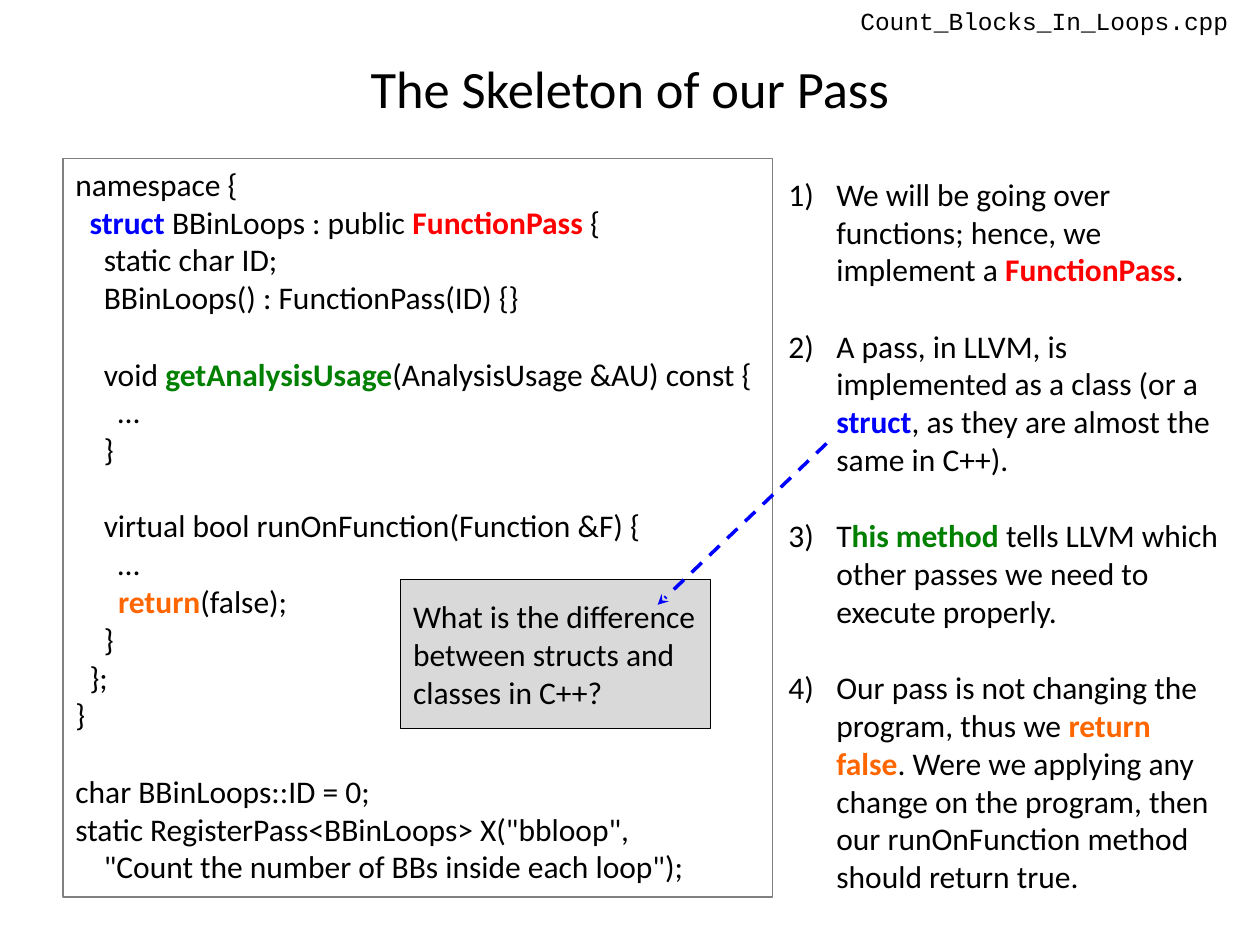
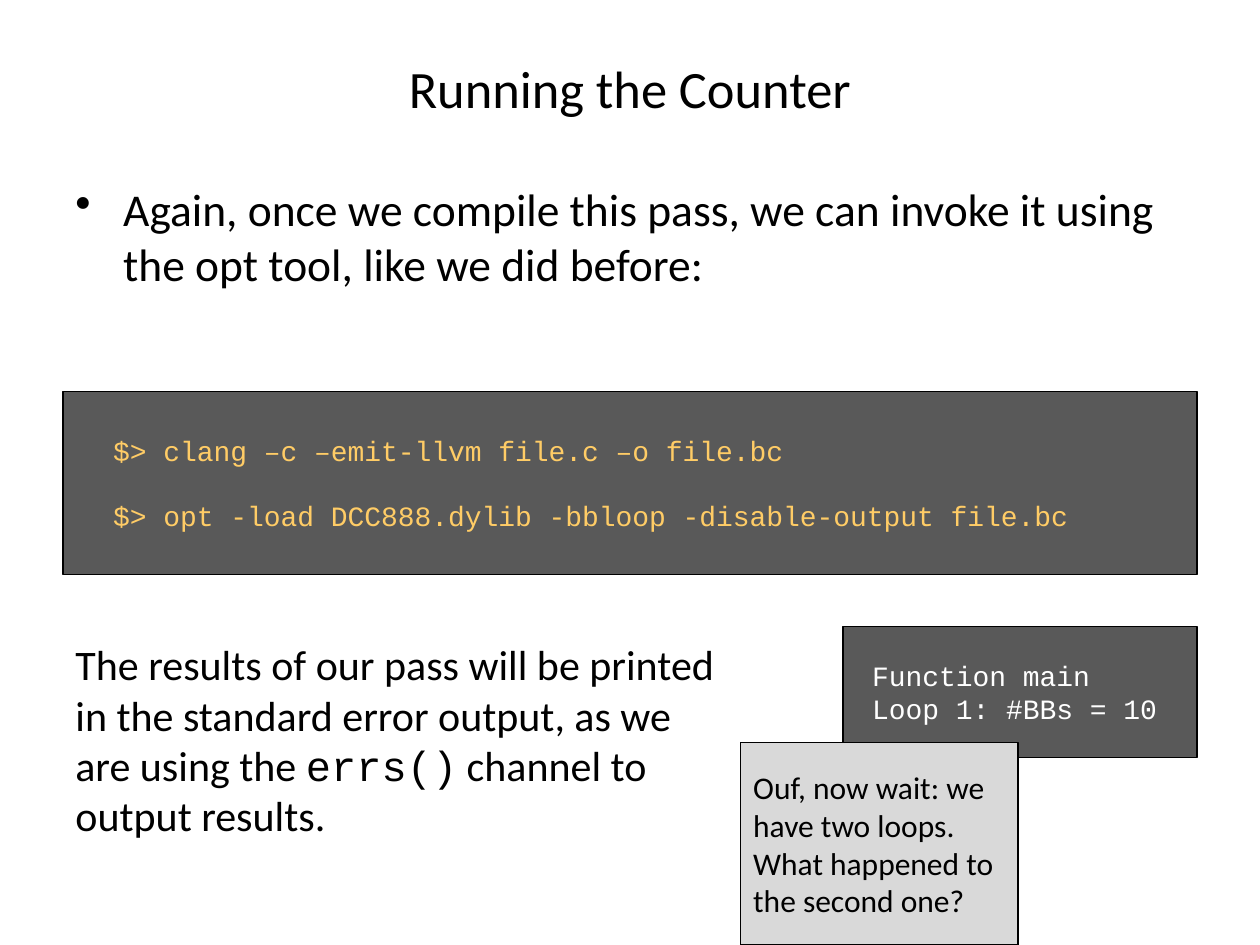
import pptx
import pptx.util
import pptx.dml.color
import pptx.enum.dml
import pptx.enum.shapes
import pptx.enum.text
import pptx.oxml
import pptx.oxml.ns

COLORS = {
    "black": "000000", "white": "FFFFFF", "gray": "808080",
    "note": "D9D9D9", "terminal": "595959", "command": "FFCC66",
    "blue": "0000FF", "red": "FF0000", "green": "008000", "orange": "FF6600",
}
BODY_FONT, CODE_FONT = "Calibri", "Courier New"
COLUMNS, ROWS = 20, 15
BODY_LINE, CODE_LINE = 22, 18  # height of one empty line, in points
ANCHOR = pptx.enum.text.MSO_ANCHOR
HANGING = 0.38


def rgb(name):
    return pptx.dml.color.RGBColor.from_string(COLORS[name])


def write(frame, paragraphs, size=18, font=BODY_FONT, color="black", gap=0,
          indent=0, bullet=None, align=None):
    """Fill a frame; a paragraph is a string or a list of strings and
    (text, format) pairs. An empty string opens a gap above the next one."""
    before = 0
    first = True
    for content in paragraphs:
        if content == "":
            before = gap
            continue
        para = frame.paragraphs[0] if first else frame.add_paragraph()
        first = False
        para.alignment = align
        para.space_before = pptx.util.Pt(before)
        before = 0
        properties = para._p.get_or_add_pPr()
        if indent:
            properties.set("marL", str(pptx.util.Inches(indent)))
        if bullet:
            properties.set("indent", str(-pptx.util.Inches(indent)))
            properties.append(pptx.oxml.parse_xml(
                f'<a:{bullet} {pptx.oxml.ns.nsdecls("a")}/>'))
        for part in [content] if isinstance(content, str) else content:
            text, style = (part, {}) if isinstance(part, str) else part
            span = para.add_run()
            span.text = text
            span.font.name = style.get("font", font)
            span.font.size = pptx.util.Pt(size)
            span.font.bold = style.get("bold", False)
            span.font.color.rgb = rgb(style.get("color", color))


def strong(text, color):
    return text, {"bold": True, "color": color}


class Lecture:
    """Slides on a grid of 20 columns by 15 rows."""

    def __init__(self):
        self.deck = pptx.Presentation()
        self.deck.slide_width = pptx.util.Inches(10)
        self.deck.slide_height = pptx.util.Inches(7.5)
        self.page = None

    def x(self, columns):
        return round(self.deck.slide_width * columns / COLUMNS)

    def y(self, rows):
        return round(self.deck.slide_height * rows / ROWS)

    def place(self, column, row, width, height):
        return self.x(column), self.y(row), self.x(width), self.y(height)

    def add_page(self, title):
        self.page = self.deck.slides.add_slide(self.deck.slide_layouts[5])
        box = self.page.shapes.title
        box.left, box.top, box.width, box.height = self.place(1, 0.6, 18, 1.58)
        box.text_frame.vertical_anchor = ANCHOR.MIDDLE
        write(box.text_frame, [title], size=30,
              align=pptx.enum.text.PP_ALIGN.CENTER)

    def text(self, area, paragraphs, anchor=ANCHOR.TOP, **style):
        box = self.page.shapes.add_textbox(*self.place(*area))
        box.text_frame.word_wrap = True
        box.text_frame.vertical_anchor = anchor
        write(box.text_frame, paragraphs, **style)

    def panel(self, area, paragraphs, fill=None, line="black",
              anchor=ANCHOR.MIDDLE, **style):
        box = self.page.shapes.add_shape(
            pptx.enum.shapes.MSO_SHAPE.RECTANGLE, *self.place(*area))
        box.shadow.inherit = False
        if fill:
            box.fill.solid()
            box.fill.fore_color.rgb = rgb(fill)
        else:
            box.fill.background()
        box.line.color.rgb = rgb(line)
        box.line.width = pptx.util.Pt(0.75)
        box.text_frame.word_wrap = True
        box.text_frame.vertical_anchor = anchor
        write(box.text_frame, paragraphs,
              align=pptx.enum.text.PP_ALIGN.LEFT, **style)

    def note(self, area, text):
        self.panel(area, [text], fill="note")

    def terminal(self, area, lines, **style):
        self.panel(area, lines, fill="terminal", size=16, font=CODE_FONT,
                   gap=CODE_LINE, **style)

    def dashed_arrow(self, start, end, color):
        arrow = self.page.shapes.add_connector(
            pptx.enum.shapes.MSO_CONNECTOR.STRAIGHT,
            self.x(start[0]), self.y(start[1]), self.x(end[0]), self.y(end[1]))
        arrow.line.color.rgb = rgb(color)
        arrow.line.width = pptx.util.Pt(2)
        arrow.line.dash_style = pptx.enum.dml.MSO_LINE.DASH
        namespace = pptx.oxml.ns.nsdecls("a")
        arrow.line._get_or_add_ln().append(
            pptx.oxml.parse_xml(f'<a:tailEnd {namespace} type="stealth"/>'))
        arrow._element.spPr.append(
            pptx.oxml.parse_xml(f"<a:effectLst {namespace}/>"))


def skeleton_page(lecture):
    lecture.add_page("The Skeleton of our Pass")

    # Source code of the pass
    lecture.panel((1, 2.52, 11.26, 11.72), [
        "namespace {",
        ["  ", strong("struct ", "blue"), "BBinLoops : public ",
         strong("FunctionPass ", "red"), "{"],
        "    static char ID;",
        "    BBinLoops() : FunctionPass(ID) {}",
        "",
        ["    void ", strong("getAnalysisUsage", "green"),
         "(AnalysisUsage &AU) const {"],
        "      …",
        "    }",
        "",
        "    virtual bool runOnFunction(Function &F) {",
        "      …",
        ["      ", strong("return", "orange"), "(false);"],
        "    }",
        "  };",
        "}",
        "",
        "char BBinLoops::ID = 0;",
        'static RegisterPass<BBinLoops> X("bbloop",',
        '    "Count the number of BBs inside each loop");',
    ], line="gray", anchor=ANCHOR.TOP, gap=BODY_LINE)

    # Numbered explanations
    lecture.text((12.32, 2.4, 7.26, 12.18), [
        ["We will be going over functions; hence, we implement a ",
         strong("FunctionPass", "red"), "."],
        "",
        ["A pass, in LLVM, is implemented as a class (or a ",
         strong("struct", "blue"), ", as they are almost the same in C++)."],
        "",
        ["T", strong("his method", "green"),
         " tells LLVM which other passes we need to execute properly."],
        "",
        ["Our pass is not changing the program, thus we ",
         strong("return false", "orange"),
         ". Were we applying any change on the program, then our "
         "runOnFunction method should return true."],
    ], anchor=ANCHOR.MIDDLE, gap=BODY_LINE, indent=HANGING,
        bullet='buAutoNum type="arabicParenR"')

    # Question and file name
    lecture.note((6.36, 9.2, 4.92, 2.36),
                 "What is the difference between structs and classes in C++?")
    lecture.dashed_arrow((13.12, 7.04), (10.44, 9.6), "blue")
    lecture.text((13.46, 0, 6.54, 0.68), ["Count_Blocks_In_Loops.cpp"],
                 size=14, font=CODE_FONT)


def running_page(lecture):
    lecture.add_page("Running the Counter")
    lecture.text((1, 2.78, 18, 2.74), [
        "Again, once we compile this pass, we can invoke it using the opt "
        "tool, like we did before:",
    ], size=26, indent=HANGING, bullet='buChar char="•"')

    # Commands
    lecture.terminal((1, 6.22, 18, 2.9), [
        "$> clang –c –emit-llvm file.c –o file.bc",
        "",
        "$> opt -load DCC888.dylib -bbloop -disable-output file.bc",
    ], color="command", indent=0.3)

    # Results
    lecture.text((1, 10.04, 10.76, 3.44), [[
        "The results of our pass will be printed in the standard error "
        "output, as we are using the ",
        ("errs()", {"font": CODE_FONT}),
        " channel to output results.",
    ]], size=24)
    lecture.terminal((13.38, 9.94, 5.62, 2.08),
                     [" Function main", " Loop 1: #BBs = 10"], color="white")
    lecture.note((11.76, 11.78, 4.4, 3.22),
                 "Ouf, now wait: we have two loops. "
                 "What happened to the second one?")


def main():
    lecture = Lecture()
    skeleton_page(lecture)
    running_page(lecture)
    lecture.deck.save("out.pptx")


if __name__ == "__main__":
    main()
